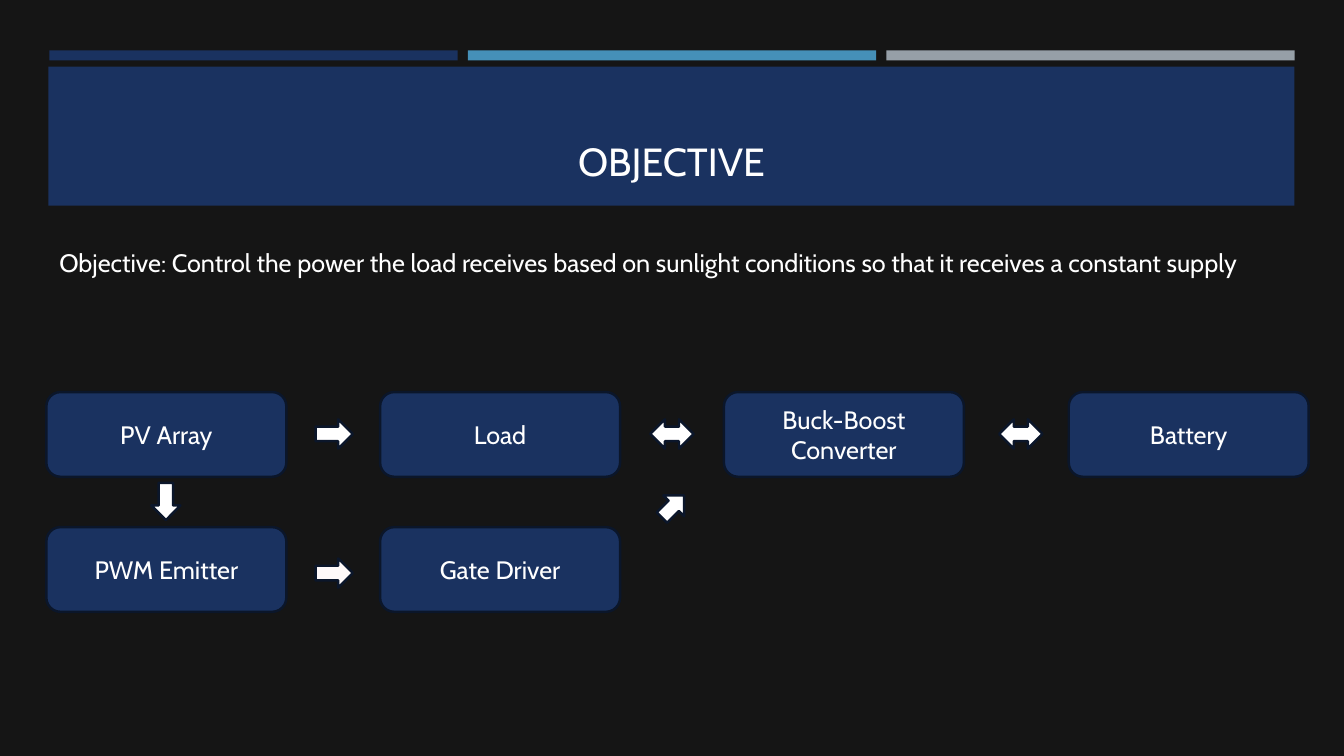
"""Build the Objective slide: a title banner above a block diagram of the solar power system."""
from dataclasses import dataclass

from pptx import Presentation
from pptx.dml.color import RGBColor as RGB
from pptx.enum.shapes import MSO_SHAPE as SHAPE
from pptx.enum.text import MSO_ANCHOR as ANCHOR, PP_ALIGN as ALIGN
from pptx.util import Inches, Pt


@dataclass(frozen=True)
class Theme:
    back: str = "151515"
    navy: str = "1A3260"
    blue: str = "4590B8"
    grey: str = "969FA7"
    edge: str = "0B162A"
    white: str = "FFFFFF"
    snow: str = "FFFAFA"
    font: str = "Cabin"
    title: int = 28
    body: int = 18
    edge_width: float = 1.75


theme = Theme()
prs = Presentation()
prs.slide_width, prs.slide_height = Inches(13.33), Inches(7.5)
s = prs.slides.add_slide(prs.slide_layouts[6])
s.background.fill.solid()
s.background.fill.fore_color.rgb = RGB.from_string(theme.back)


def add_block(kind, x, y, w, h, fill, edged=True):
    sp = s.shapes.add_shape(kind, Inches(x), Inches(y), Inches(w), Inches(h))
    sp.shadow.inherit = False
    sp.fill.solid()
    sp.fill.fore_color.rgb = RGB.from_string(fill)
    if edged:
        sp.line.color.rgb = RGB.from_string(theme.edge)
        sp.line.width = Pt(theme.edge_width)
    else:
        sp.line.fill.background()
    return sp


def write(sp, text, size, align, anchor):
    tf = sp.text_frame
    tf.word_wrap = True
    tf.vertical_anchor = anchor
    tf.text = text
    p = tf.paragraphs[0]
    p.alignment = align
    r = p.runs[0]
    r.font.name, r.font.size = theme.font, Pt(size)
    r.font.color.rgb = RGB.from_string(theme.white)


left, bar_w, bar_gap = 0.49, 4.05, 0.1
for i, color in enumerate((theme.navy, theme.blue, theme.grey)):
    add_block(SHAPE.RECTANGLE, left + i * (bar_w + bar_gap), 0.5, bar_w, 0.1, color, edged=False)
add_block(SHAPE.RECTANGLE, 0.48, 0.66, 12.36, 1.38, theme.navy, edged=False)

title = s.shapes.add_textbox(Inches(0.63), Inches(0.8), Inches(12.06), Inches(1.08))
write(title, "OBJECTIVE", theme.title, ALIGN.CENTER, ANCHOR.BOTTOM)
goal = s.shapes.add_textbox(Inches(left), Inches(2.4), Inches(12.36), Inches(0.4))
write(goal, "Objective: Control the power the load receives based on sunlight conditions "
      "so that it receives a constant supply", theme.body, ALIGN.LEFT, ANCHOR.TOP)

cols, rows = (0.46, 3.77, 7.18, 10.6), (3.89, 5.23)
box_w, box_h = 2.38, 0.84
stages = (("PV Array", "Load", "Buck-Boost Converter", "Battery"),
          ("PWM Emitter", "Gate Driver"))
for y, names in zip(rows, stages):
    for x, name in zip(cols, names):
        sp = add_block(SHAPE.ROUNDED_RECTANGLE, x, y, box_w, box_h, theme.navy)
        write(sp, name, theme.body, ALIGN.CENTER, ANCHOR.MIDDLE)

one_way, two_way, arrow_h = SHAPE.RIGHT_ARROW, SHAPE.LEFT_RIGHT_ARROW, 0.29
arrows = ((one_way, 3.13, 5.54, 0.37, 0, theme.snow),
          (one_way, 1.46, 4.83, 0.37, 90, theme.white),
          (one_way, 3.13, 4.16, 0.37, 0, theme.white),
          (two_way, 9.91, 4.16, 0.43, 0, theme.white),
          (two_way, 6.45, 4.16, 0.43, 0, theme.white),
          (one_way, 6.52, 4.88, 0.31, 315, theme.white))
for kind, x, y, w, angle, color in arrows:
    add_block(kind, x, y, w, arrow_h, color).rotation = angle

prs.save("out.pptx")
